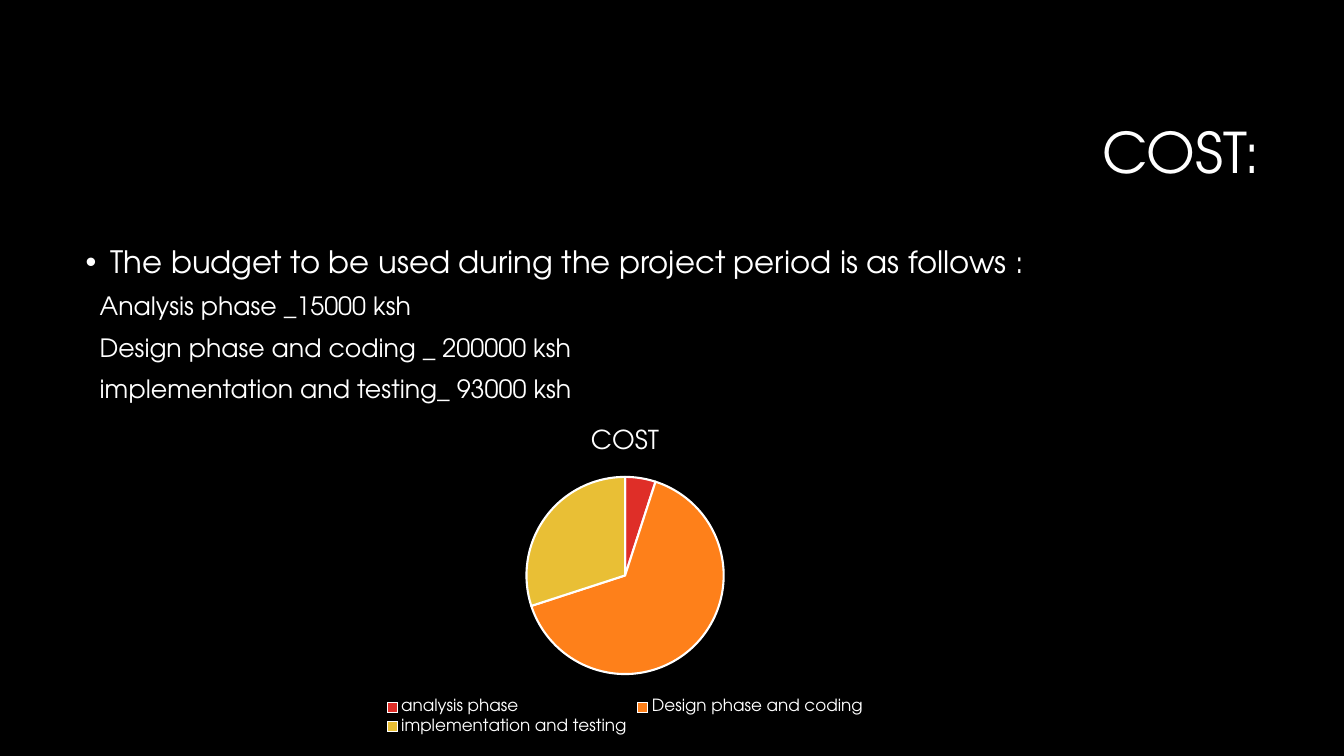
from pptx import Presentation
from pptx.chart.data import CategoryChartData
from pptx.dml.color import RGBColor
from pptx.enum.chart import XL_CHART_TYPE, XL_LEGEND_POSITION
from pptx.enum.text import MSO_ANCHOR, PP_ALIGN
from pptx.oxml.ns import qn
from pptx.util import Inches, Pt
from lxml import etree

PIE = XL_CHART_TYPE.PIE
LEGEND_BOTTOM = XL_LEGEND_POSITION.BOTTOM
TOP, MIDDLE = MSO_ANCHOR.TOP, MSO_ANCHOR.MIDDLE
LEFT, RIGHT = PP_ALIGN.LEFT, PP_ALIGN.RIGHT

FONT = "TeX Gyre Adventor"
COLORS = {"background": "000000", "text": "FFFFFF"}
PHASE_SHARES = {
    "analysis phase": (5, "DF2E28"),
    "Design phase and coding": (65, "FE801A"),
    "implementation and testing": (30, "E9BF35"),
}
BUDGET_LINES = [
    "Analysis phase _15000 ksh",
    "Design phase and coding _ 200000 ksh",
    "implementation and testing_ 93000 ksh",
]


def rgb(name):
    return RGBColor.from_string(COLORS[name])


def style_font(font, size):
    font.name = FONT
    font.size = Pt(size)
    font.bold = False
    font.color.rgb = rgb("text")


def write_paragraph(paragraph, text, *, size, align=LEFT, before=0,
                    margin=0, indent=0, bullet=None):
    paragraph.alignment = align
    paragraph.line_spacing = 0.9
    paragraph.space_before = Pt(before)
    properties = paragraph._p.get_or_add_pPr()
    properties.set("marL", str(Inches(margin)))
    properties.set("indent", str(Inches(indent)))
    if bullet:
        etree.SubElement(properties, qn("a:buFont")).set("typeface", "Arial")
        etree.SubElement(properties, qn("a:buChar")).set("char", bullet)
    run = paragraph.add_run()
    run.text = text
    style_font(run.font, size)


def add_text_frame(slide, left, top, width, height, anchor=TOP):
    frame = slide.shapes.add_textbox(
        Inches(left), Inches(top), Inches(width), Inches(height)).text_frame
    frame.word_wrap = True
    frame.vertical_anchor = anchor
    return frame


def add_cost_pie(slide, left, top, width, height):
    data = CategoryChartData()
    data.categories = list(PHASE_SHARES)
    data.add_series("COST", [share for share, _ in PHASE_SHARES.values()])
    chart = slide.shapes.add_chart(
        PIE, Inches(left), Inches(top), Inches(width), Inches(height), data).chart
    style_font(chart.font, 10)

    # Chart title and legend
    chart.has_title = True
    title = chart.chart_title.text_frame.paragraphs[0].add_run()
    title.text = "COST"
    style_font(title.font, 18.6)
    chart.has_legend = True
    chart.legend.position = LEGEND_BOTTOM
    chart.legend.include_in_layout = False
    style_font(chart.legend.font, 12)

    # Slices
    plot = chart.plots[0]
    plot.vary_by_categories = True
    for index, (_, color) in enumerate(PHASE_SHARES.values()):
        slice_format = plot.series[0].points[index].format
        slice_format.fill.solid()
        slice_format.fill.fore_color.rgb = RGBColor.from_string(color)
        slice_format.line.color.rgb = rgb("text")
        slice_format.line.width = Pt(1.5)


def main():
    prs = Presentation()
    prs.slide_width, prs.slide_height = Inches(13.33), Inches(7.5)
    slide = prs.slides.add_slide(prs.slide_layouts[6])
    slide.background.fill.solid()
    slide.background.fill.fore_color.rgb = rgb("background")

    # Heading
    heading = add_text_frame(slide, 3.17, 0.84, 9.42, 1.41, MIDDLE)
    write_paragraph(heading.paragraphs[0], "COST:", size=40, align=RIGHT)

    # Budget by phase
    budget = add_text_frame(slide, 0.75, 2.4, 11.83, 4.4)
    write_paragraph(budget.paragraphs[0],
                    "The budget to be used during the project period is as follows :",
                    size=22, before=10, margin=0.25, indent=-0.25, bullet="•")
    for line in BUDGET_LINES:
        write_paragraph(budget.add_paragraph(), line, size=18, before=10, margin=0.14)

    # Cost shares
    add_cost_pie(slide, 2.88, 4.08, 6.64, 3.25)
    prs.save("out.pptx")


if __name__ == "__main__":
    main()
